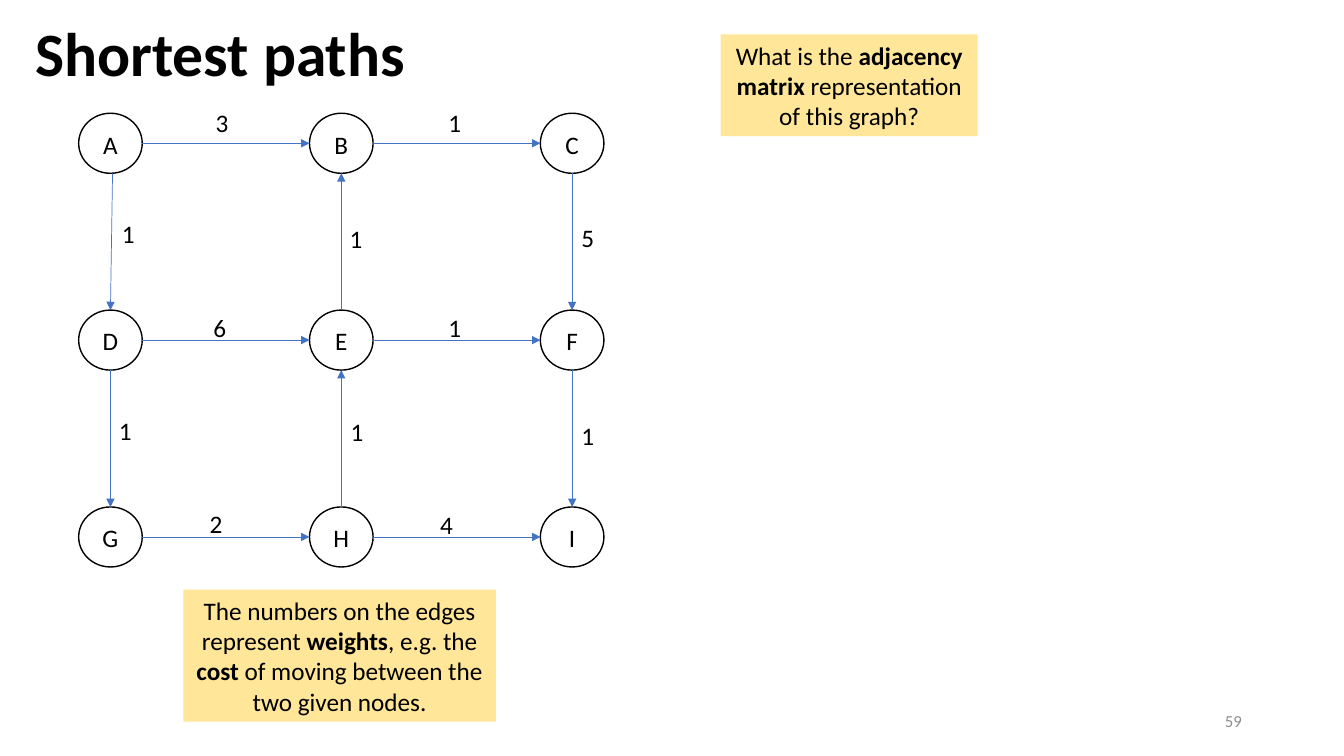
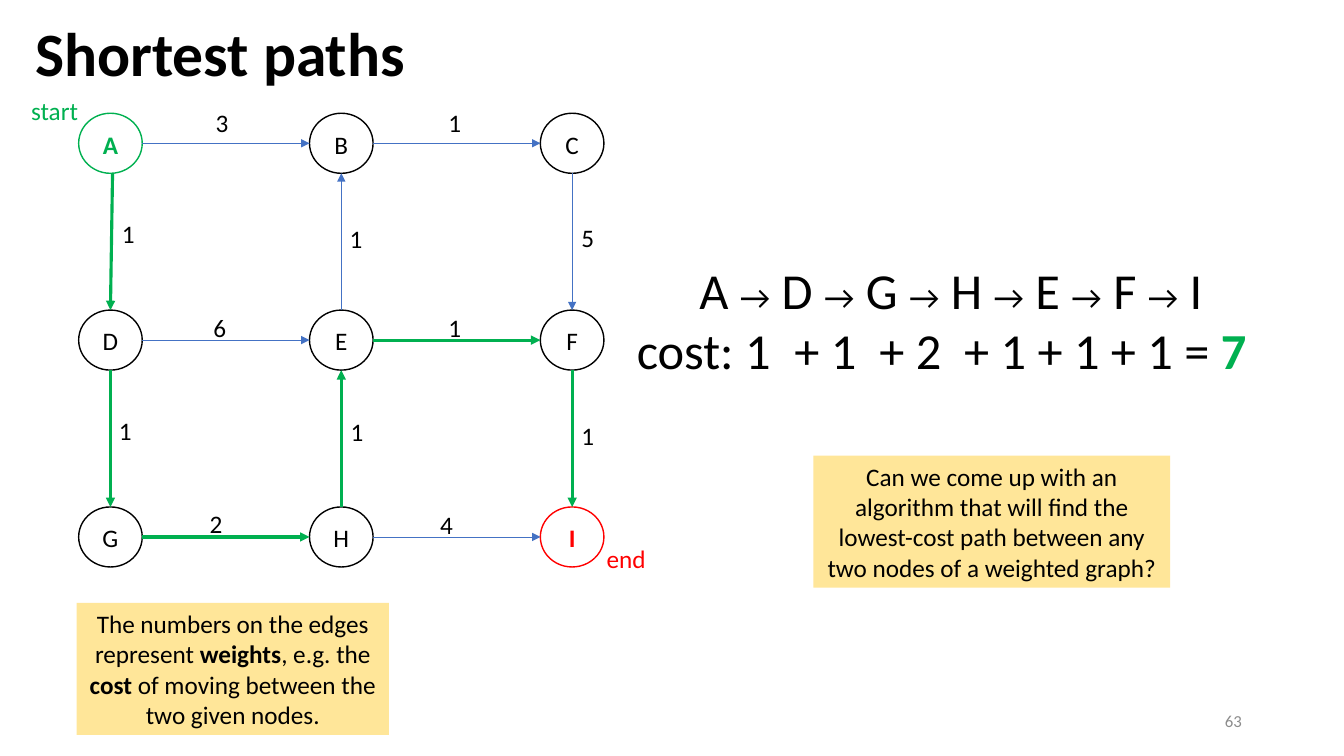
import pptx
from lxml import etree
from pptx.dml.color import RGBColor
from pptx.enum.shapes import MSO_CONNECTOR, MSO_SHAPE
from pptx.enum.text import MSO_ANCHOR, MSO_AUTO_SIZE, PP_ALIGN
from pptx.oxml.ns import qn
from pptx.util import Pt

FONT = "Calibri"
COLORS = {"text": "000000", "edge": "4472C4", "note": "FFE699",
          "start": "00B050", "end": "FF0000", "number": "8C8C8C"}

TITLE = "Shortest paths"
NODE_ROWS = ["ABC", "DEF", "GHI"]
# edge, weight, left and top of the weight label
EDGES = [
    ("AB", "3", 146.9, 73.4), ("BC", "1", 313.2, 73.4),
    ("AD", "1", 79.9, 152.6), ("EB", "1", 242.6, 156.2), ("CF", "5", 408.2, 155.5),
    ("DE", "6", 145.4, 219.6), ("EF", "1", 313.2, 219.6),
    ("DG", "1", 77.8, 293), ("HE", "1", 243.4, 293.8), ("FI", "1", 408.2, 296.6),
    ("GH", "2", 142.6, 359.3), ("HI", "4", 307.4, 360),
]
START_SHIFT = {"AD": 1.5}

# Texts are lists of (text, font settings) parts
BOLD = {"bold": True}
WEIGHTS_NOTE = [("The numbers on the edges represent ", {}), ("weights", BOLD),
                (", e.g. the ", {}), ("cost", BOLD),
                (" of moving between the two given nodes.", {})]
MATRIX_NOTE = [("What is the ", {}), ("adjacency matrix", BOLD),
               (" representation of this graph?", {})]
ALGORITHM_NOTE = [("Can we come up with an algorithm that will find the lowest-cost path "
                   "between any two nodes of a weighted graph?", {})]
ROUTE = "ADGHEFI"
COST_SUM = [("cost: 1\t+ 1\t+ 2\t+ 1 + 1 + 1 = ", {}),
            ("7", {"bold": True, "color": "start"})]
COST_TABS = [112.6, 173.2, 233.8]
ROUTE_INDENT = 44.7

SLIDES = [
    {"number": "59", "route": "", "ends": {}, "end_labels": [],
     "notes": [(WEIGHTS_NOTE, (131, 421.2, 223.2, 94.3)),
               (MATRIX_NOTE, (514.8, 24.5, 183.6, 72.7))]},
    {"number": "63", "route": ROUTE, "ends": {"A": "start", "I": "end"},
     "end_labels": [("start", (15.1, 64.8, 48.2, 28.8)),
                    ("end", (426.2, 384.5, 42.5, 28.8))],
     "notes": [(WEIGHTS_NOTE, (54.7, 430.6, 223.2, 94.3)),
               (ALGORITHM_NOTE, (581, 325.4, 254.9, 94.3))]},
]

NODE_W, NODE_H = 45.4, 42.9
GRID_LEFT, GRID_TOP, STEP_X, STEP_Y = 56.2, 80.9, 164.9, 140.6
NODES = {name: (GRID_LEFT + column * STEP_X, GRID_TOP + row * STEP_Y)
         for row, names in enumerate(NODE_ROWS) for column, name in enumerate(names)}


def rgb(name):
    return RGBColor.from_string(COLORS[name])


def points(*values):
    return [Pt(value) for value in values]


def write(para, parts, size=18, color="text", bold=False, align=PP_ALIGN.LEFT):
    """Fill a paragraph with parts that may differ from its own font."""
    para.alignment = align
    font = para.font
    font.name, font.size, font.bold = FONT, Pt(size), bold
    font.color.rgb = rgb(color)
    for text, style in parts:
        span = para.add_run()
        span.text = text
        if "bold" in style:
            span.font.bold = style["bold"]
        if "size" in style:
            span.font.size = Pt(style["size"])
        if "color" in style:
            span.font.color.rgb = rgb(style["color"])


def add_text(page, place, text, wrap=False, **style):
    box = page.shapes.add_textbox(*points(*place))
    box.text_frame.word_wrap = wrap
    write(box.text_frame.paragraphs[0], [(text, {})], **style)
    return box


def add_title(page):
    title = page.shapes.title
    title.left, title.top, title.width, title.height = points(18, 13, 389.5, 104.4)
    frame = title.text_frame
    frame.auto_size = MSO_AUTO_SIZE.NONE
    frame.vertical_anchor = MSO_ANCHOR.TOP
    para = frame.paragraphs[0]
    para.line_spacing = 0.9
    write(para, [(TITLE, {})], size=44, bold=True)


def add_node(page, name, color):
    node = page.shapes.add_shape(MSO_SHAPE.OVAL, *points(*NODES[name], NODE_W, NODE_H))
    node.shadow.inherit = False
    node.fill.background()
    node.line.color.rgb = rgb(color)
    node.line.width = Pt(1)
    frame = node.text_frame
    frame.margin_left = frame.margin_right = frame.margin_bottom = 0
    frame.margin_top = Pt(1)
    write(frame.paragraphs[0], [(name, {})], color=color, bold=color != "text",
          align=PP_ALIGN.CENTER)


def edge_ends(edge):
    """Points on the facing sides of the edge's two nodes."""
    (x1, y1), (x2, y2) = (NODES[name] for name in edge)
    half_w, half_h = NODE_W / 2, NODE_H / 2
    if y1 == y2:
        return x1 + NODE_W, y1 + half_h, x2, y2 + half_h
    down = y2 > y1
    return (x1 + half_w + START_SHIFT.get(edge, 0), y1 + NODE_H * down,
            x2 + half_w, y2 + NODE_H * (not down))


def add_edge(page, edge, on_route):
    arrow = page.shapes.add_connector(MSO_CONNECTOR.STRAIGHT, *points(*edge_ends(edge)))
    arrow.line.color.rgb = rgb("start" if on_route else "edge")
    arrow.line.width = Pt(2.25 if on_route else 0.5)
    etree.SubElement(arrow.line._get_or_add_ln(), qn("a:tailEnd"), type="triangle")
    etree.SubElement(arrow._element.spPr, qn("a:effectLst"))


def add_note(page, parts, place):
    note = page.shapes.add_shape(MSO_SHAPE.RECTANGLE, *points(*place))
    note.shadow.inherit = False
    note.fill.solid()
    note.fill.fore_color.rgb = rgb("note")
    note.line.fill.background()
    note.text_frame.word_wrap = True
    write(note.text_frame.paragraphs[0], parts, align=PP_ALIGN.CENTER)


def add_cost(page, route):
    box = page.shapes.add_textbox(*points(447.8, 181.4, 469.4, 94.3))
    frame = box.text_frame
    frame.word_wrap = True
    steps = [(f"{route[0]} ", {})]
    for name in route[1:]:
        steps += [("→", {"size": 24}), (f" {name} " if name != route[-1] else f" {name}", {})]
    route_para, cost_para = frame.paragraphs[0], frame.add_paragraph()
    route_para._p.get_or_add_pPr().set("marL", str(Pt(ROUTE_INDENT)))
    tabs = etree.SubElement(cost_para._p.get_or_add_pPr(), qn("a:tabLst"))
    for position in COST_TABS:
        etree.SubElement(tabs, qn("a:tab"), pos=str(Pt(position)), algn="l")
    write(route_para, steps, size=36)
    write(cost_para, COST_SUM, size=36)


def add_slide(deck, content):
    page = deck.slides.add_slide(deck.slide_layouts[5])
    add_title(page)
    number = add_text(page, (678.2, 500.4, 216, 28.8), content["number"], wrap=True,
                      size=12, color="number", align=PP_ALIGN.RIGHT)
    number.text_frame.vertical_anchor = MSO_ANCHOR.MIDDLE
    for name in NODES:
        add_node(page, name, content["ends"].get(name, "text"))
    for edge, weight, left, top in EDGES:
        add_edge(page, edge, edge in content["route"])
        add_text(page, (left, top, 23.8, 28.8), weight)
    for label, place in content["end_labels"]:
        add_text(page, place, label, color=label)
    if content["route"]:
        add_cost(page, content["route"])
    for parts, place in content["notes"]:
        add_note(page, parts, place)


def main():
    deck = pptx.Presentation()
    deck.slide_width, deck.slide_height = points(960, 540)
    for content in SLIDES:
        add_slide(deck, content)
    deck.save("out.pptx")


if __name__ == "__main__":
    main()
